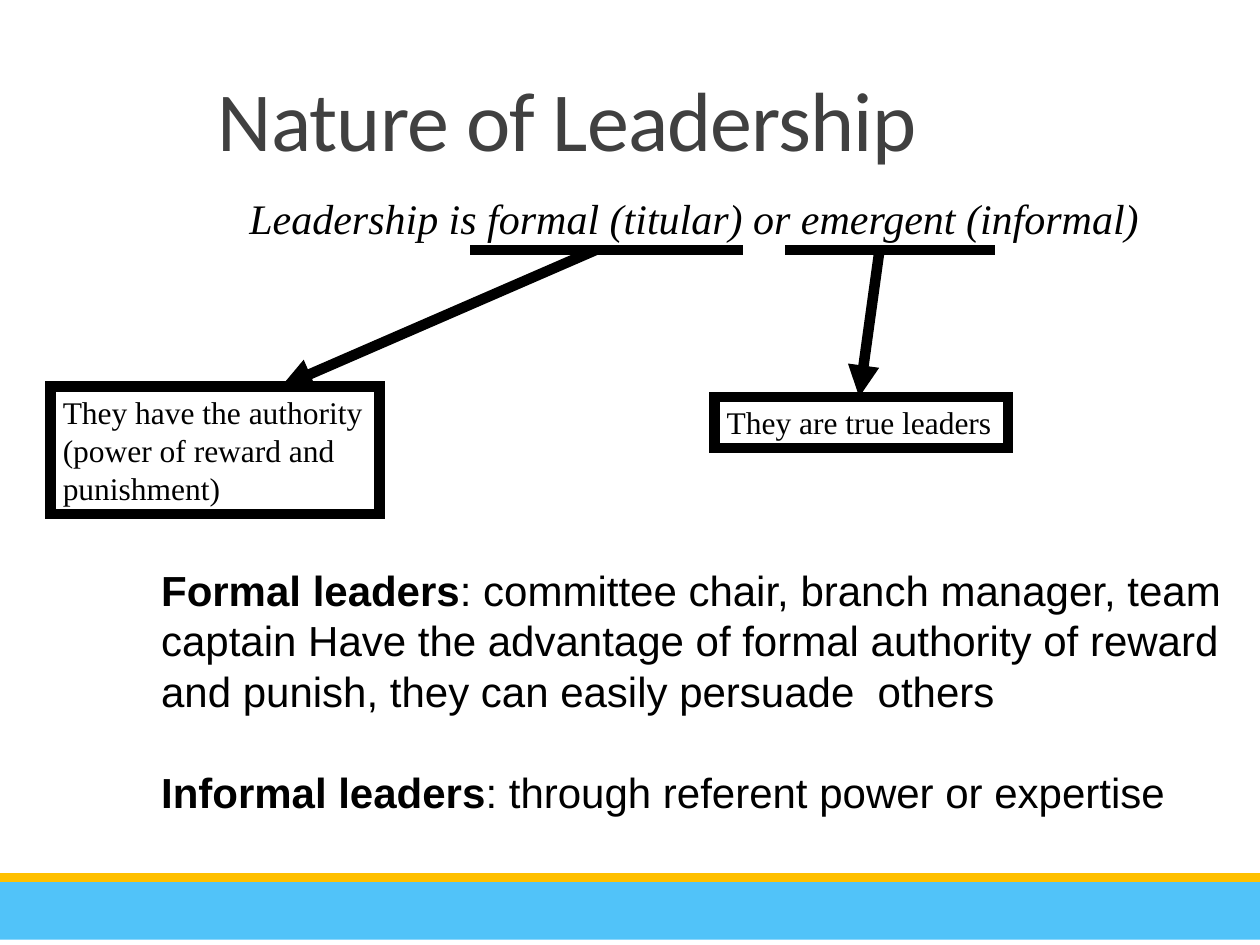
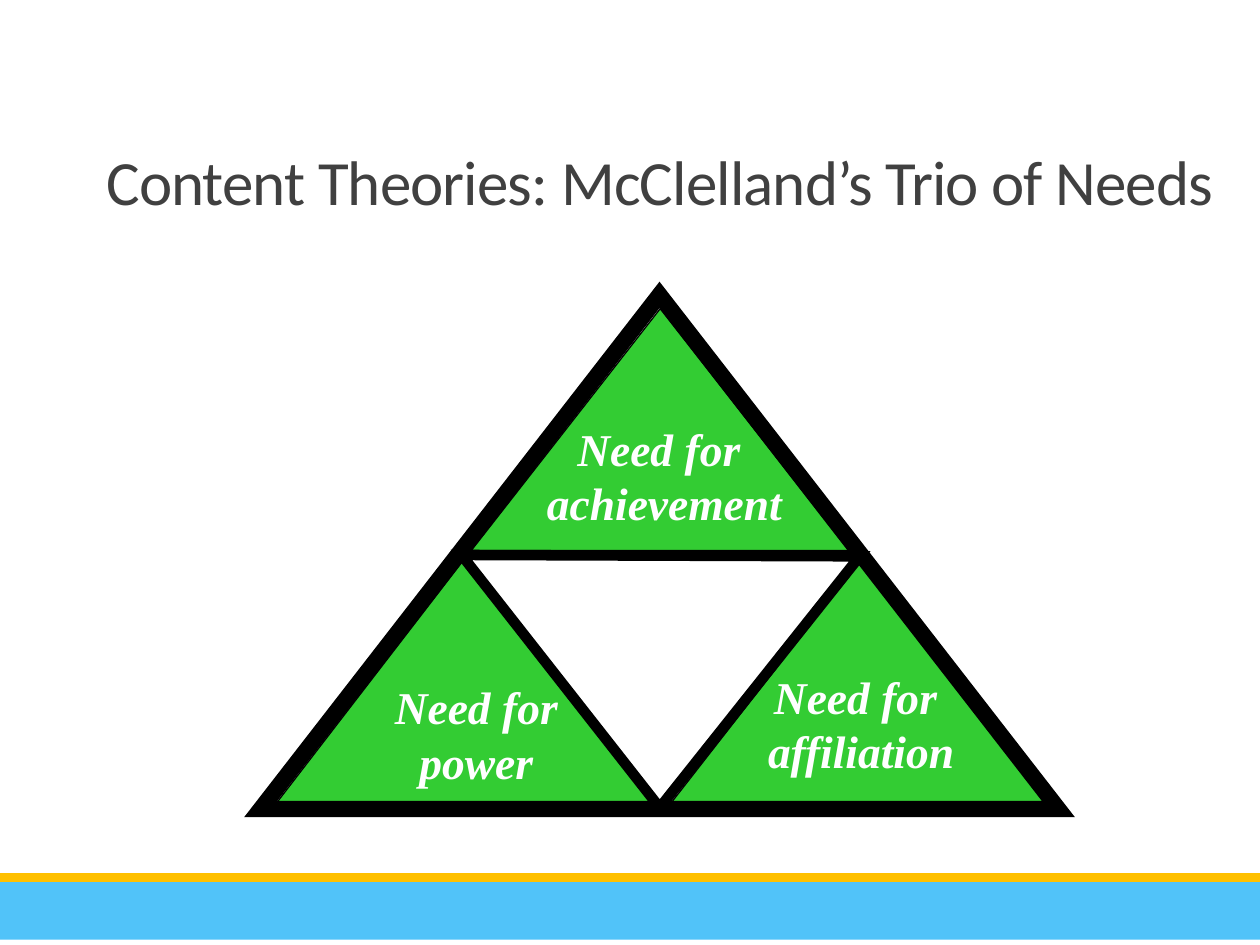
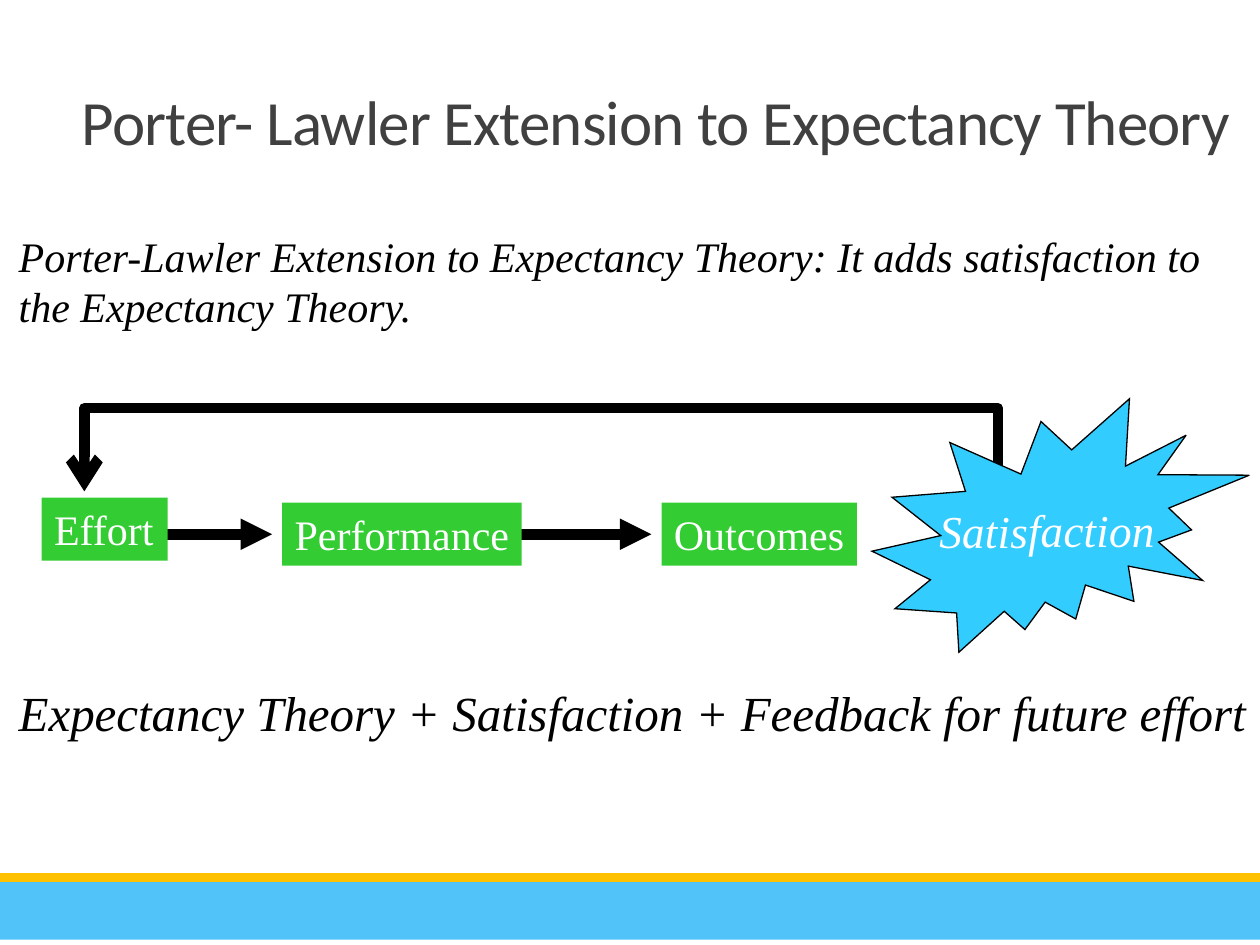
from lxml import etree
from pptx import Presentation
from pptx import util as u
from pptx.dml.color import RGBColor
from pptx.enum import shapes, text
from pptx.oxml.ns import qn

Pt = u.Pt
HUES = {"ink": "000000", "title": "404040", "white": "FFFFFF", "green": "33CC33",
        "sky": "33CCFF", "band": "51C3F9", "gold": "FFC000"}
KIND = shapes.MSO_SHAPE
MID = text.PP_ALIGN.CENTER
SERIF = "Times New Roman"


def write(box, paras, size, hue="ink", face=SERIF, bold=False, slant=False, align=None, wrap=False):
    frame = box.text_frame
    frame.word_wrap = wrap
    frame.auto_size = text.MSO_AUTO_SIZE.SHAPE_TO_FIT_TEXT
    frame.vertical_anchor = text.MSO_ANCHOR.TOP
    for i, runs in enumerate(paras):
        para = frame.paragraphs[0] if i == 0 else frame.add_paragraph()
        para.alignment = align or text.PP_ALIGN.LEFT
        for j, words in enumerate(runs):
            run = para.add_run()
            run.text = words
            font = run.font
            font.name, font.size, font.italic = face, Pt(size), slant
            font.bold = bold or (len(runs) > 1 and j == 0)
            font.color.rgb = RGBColor.from_string(HUES[hue])
    return frame


def paint(item, fill=None, width=0, join="miter", tip=None):
    if fill:
        item.fill.solid()
        item.fill.fore_color.rgb = RGBColor.from_string(HUES[fill])
    elif hasattr(item, "fill"):
        item.fill.background()
    if width:
        item.line.width = Pt(width)
        item.line.color.rgb = RGBColor.from_string(HUES["ink"])
        edge = item.line._get_or_add_ln()
        etree.SubElement(edge, qn("a:" + join))
        if tip:
            etree.SubElement(edge, qn("a:tailEnd"), type=tip)
    else:
        item.line.fill.background()
    etree.SubElement(item.element.spPr, qn("a:effectLst"))
    return item


deck = Presentation()
deck.slide_width, deck.slide_height = Pt(720), Pt(540)

pages = []
for name, size, left, top, width in [
    ("Nature of Leadership", 48, 0, 26, 648),
    ("Content Theories: McClelland’s Trio of Needs", 36, 34, 54.7, 686),
    ("Porter- Lawler Extension to Expectancy Theory", 36, 29.5, 20.2, 690.5),
]:
    page = deck.slides.add_slide(deck.slide_layouts[5])
    title = page.shapes.title
    title.left, title.top, title.width, title.height = Pt(left), Pt(top), Pt(width), Pt(73.8)
    frame = write(title, [[name]], size, "title", "Calibri", align=MID, wrap=True)
    frame.auto_size = text.MSO_AUTO_SIZE.NONE
    frame.vertical_anchor = text.MSO_ANCHOR.BOTTOM
    frame.paragraphs[0].line_spacing = 0.85
    frame.paragraphs[0].runs[0].font._element.set("spc", "-50")
    pages.append(page.shapes)

lead, needs, porter = pages

tree = deck.slide_master.shapes.element
for spot, (hue, top, high) in enumerate([("band", 501, 36), ("gold", 499, 5)], 2):
    band = paint(lead.add_shape(KIND.RECTANGLE, 0, Pt(top), Pt(720), Pt(high)), hue)
    tree.insert(spot, band.element)

box = lead.add_textbox(Pt(135.4), Pt(106.5), Pt(536.4), Pt(36.4))
write(box, [["Leadership is formal (titular) or emergent (informal)"]], 24, slant=True)

for left, top, width, high, lines in [
    (28.8, 221, 188, 72.7, ["They have the authority", "(power of reward and", "punishment)"]),
    (408.2, 226.8, 167.8, 29.1, ["They are true leaders"]),
]:
    box = paint(lead.add_shape(KIND.RECTANGLE, Pt(left), Pt(top), Pt(width), Pt(high)), width=6)
    write(box, [[line] for line in lines], 18)

RULE = 142.8
for x1, x2, y2, tip in [
    (340.6, 160.6, 221, "triangle"), (268.6, 424.8, RULE, None),
    (502.6, 491, 226.8, "triangle"), (448.6, 568.8, RULE, None),
]:
    line = lead.add_connector(shapes.MSO_CONNECTOR.STRAIGHT, Pt(x1), Pt(RULE), Pt(x2), Pt(y2))
    paint(line, width=6, tip=tip)

box = lead.add_textbox(Pt(13), Pt(319), Pt(693.4), Pt(152.6))
frame = write(box, [
    ["Formal leaders", ": committee chair, branch manager, team captain Have the advantage of formal "
     "authority of reward and punish, they can easily persuade  others"],
    ["Informal leaders", ": through referent power or expertise"],
], 24, face="Arial", wrap=True)
for para in frame.paragraphs:
    para.level = 2
    para._p.get_or_add_pPr().set("marL", str(Pt(72)))
frame.paragraphs[0].space_after = Pt(28.8)

for left, top, width, high, fill, edge, turn in [
    (380.2, 319, 224.6, 144, "green", 0.75, 0),
    (154.8, 319, 221.8, 144, "green", 0.75, 0),
    (269.3, 176.4, 216, 138.2, "green", 0.75, 0),
    (149, 168.5, 455.8, 293.8, None, 9.25, 0),
    (263.5, 317.5, 227.5, 144, None, 6, 180.2),
]:
    tri = needs.add_shape(KIND.ISOSCELES_TRIANGLE, Pt(left), Pt(top), Pt(width), Pt(high))
    paint(tri, fill, edge).rotation = turn

for left, top, width, need in [
    (305.3, 236.9, 149, "achievement"),
    (215.3, 384.5, 113.8, "power"),
    (431.3, 378.7, 121.7, "affiliation"),
]:
    box = needs.add_textbox(Pt(left), Pt(top), Pt(width), Pt(69.8))
    write(box, [["Need for "], [need]], 26, "white", bold=True, slant=True, align=MID)

box = porter.add_textbox(Pt(3.6), Pt(128.2), Pt(720), Pt(65.5))
write(box, [["Porter-Lawler Extension to Expectancy Theory: It adds satisfaction to"],
            ["the Expectancy Theory."]], 24, slant=True, wrap=True)

pen = porter.build_freeform(Pt(570.2), Pt(269.3))
pen.add_line_segments([(Pt(570.2), Pt(233.3)), (Pt(48.2), Pt(233.3)), (Pt(48.2), Pt(280.8))], close=False)
paint(pen.convert_to_shape(), width=6, join="round", tip="arrow")

for x1, x2 in [(48.2, 155.5), (264.2, 372.2)]:
    line = porter.add_connector(shapes.MSO_CONNECTOR.STRAIGHT, Pt(x1), Pt(305.3), Pt(x2), Pt(305.3))
    paint(line, width=6, tip="triangle")

for left, top, width, step in [
    (23.8, 284.4, 72, "Effort"), (161.3, 287.3, 136.8, "Performance"), (378, 287.3, 111.6, "Outcomes"),
]:
    box = paint(porter.add_shape(KIND.RECTANGLE, Pt(left), Pt(top), Pt(width), Pt(36)), "green")
    write(box, [[step]], 24, "white")

burst = paint(porter.add_shape(KIND.EXPLOSION2, Pt(498.2), Pt(228.2), Pt(216), Pt(144)), "sky", 0.75)
burst.rotation = 359.5
frame = write(burst, [["Satisfaction"]], 26, "white", slant=True, align=MID)
frame.auto_size = text.MSO_AUTO_SIZE.NONE
frame.vertical_anchor = text.MSO_ANCHOR.MIDDLE

box = porter.add_textbox(Pt(3.6), Pt(386.6), Pt(716.4), Pt(41))
write(box, [["Expectancy Theory + Satisfaction + Feedback for future effort"]], 28, slant=True)

deck.save("out.pptx")
